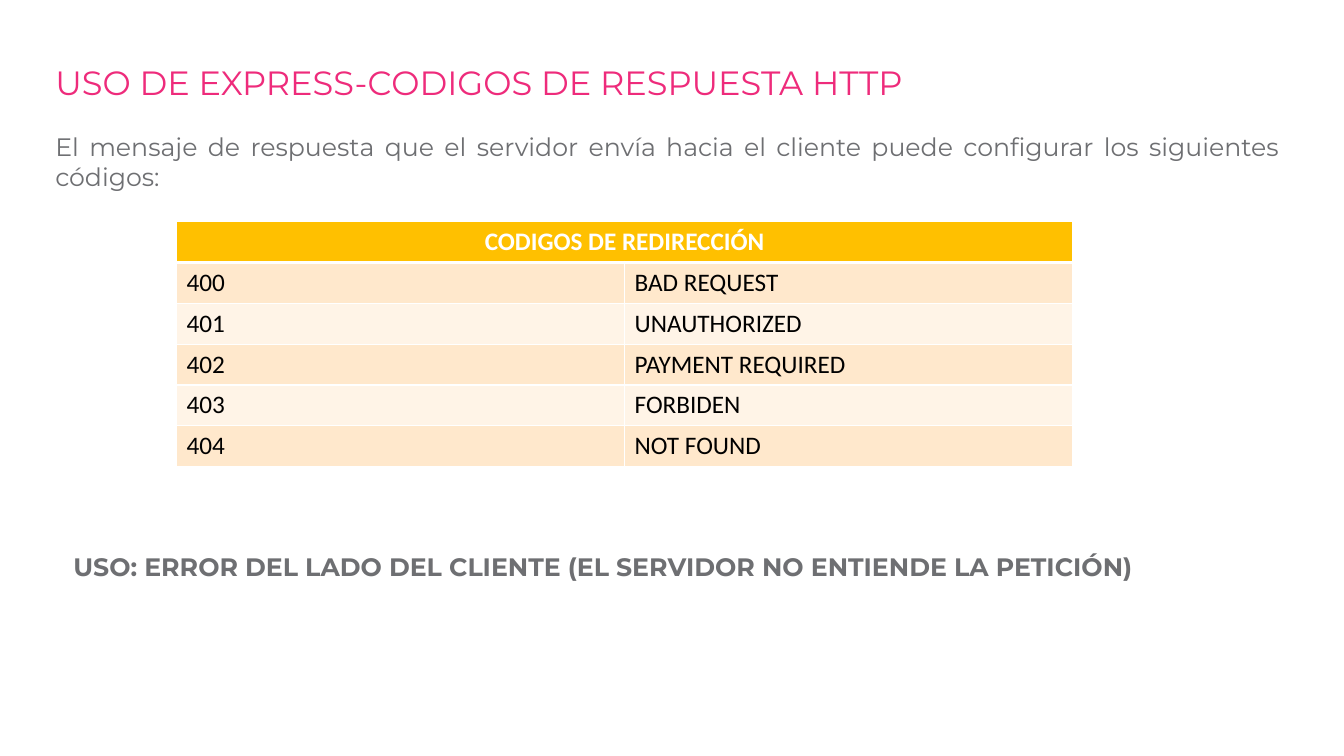
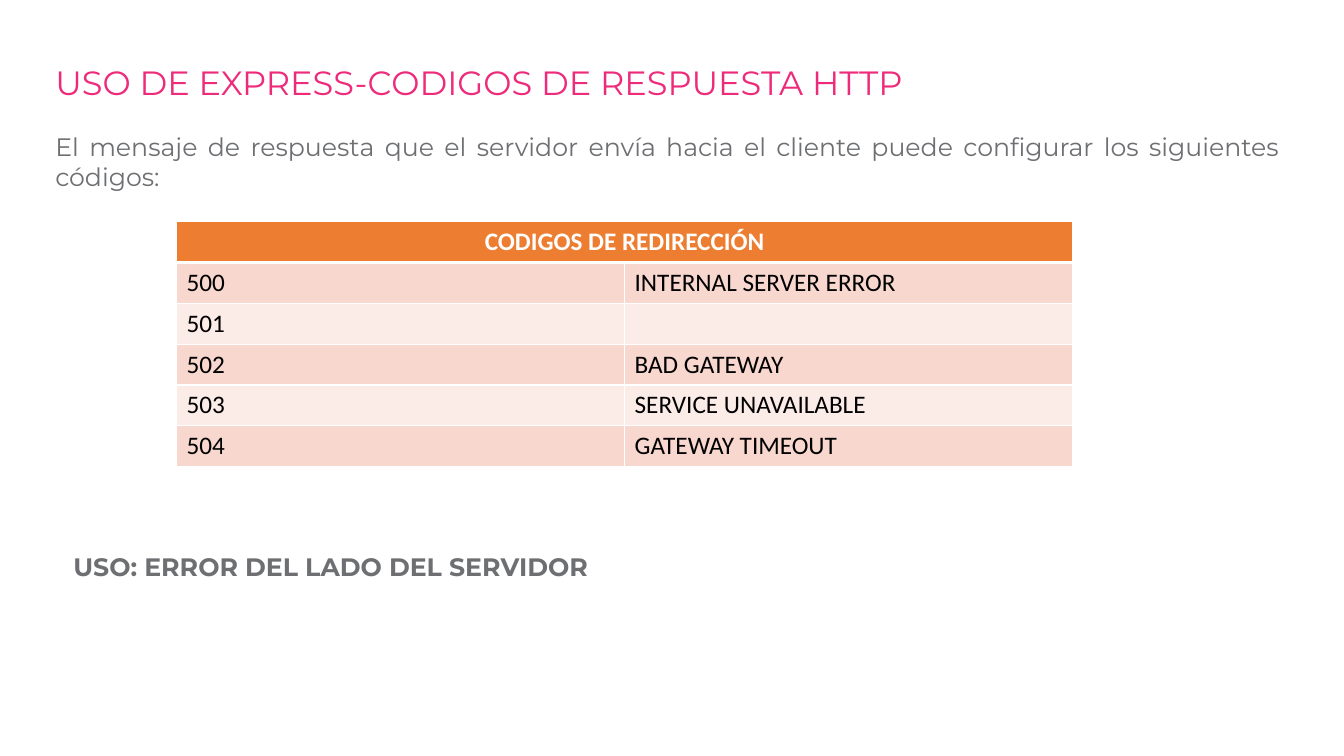
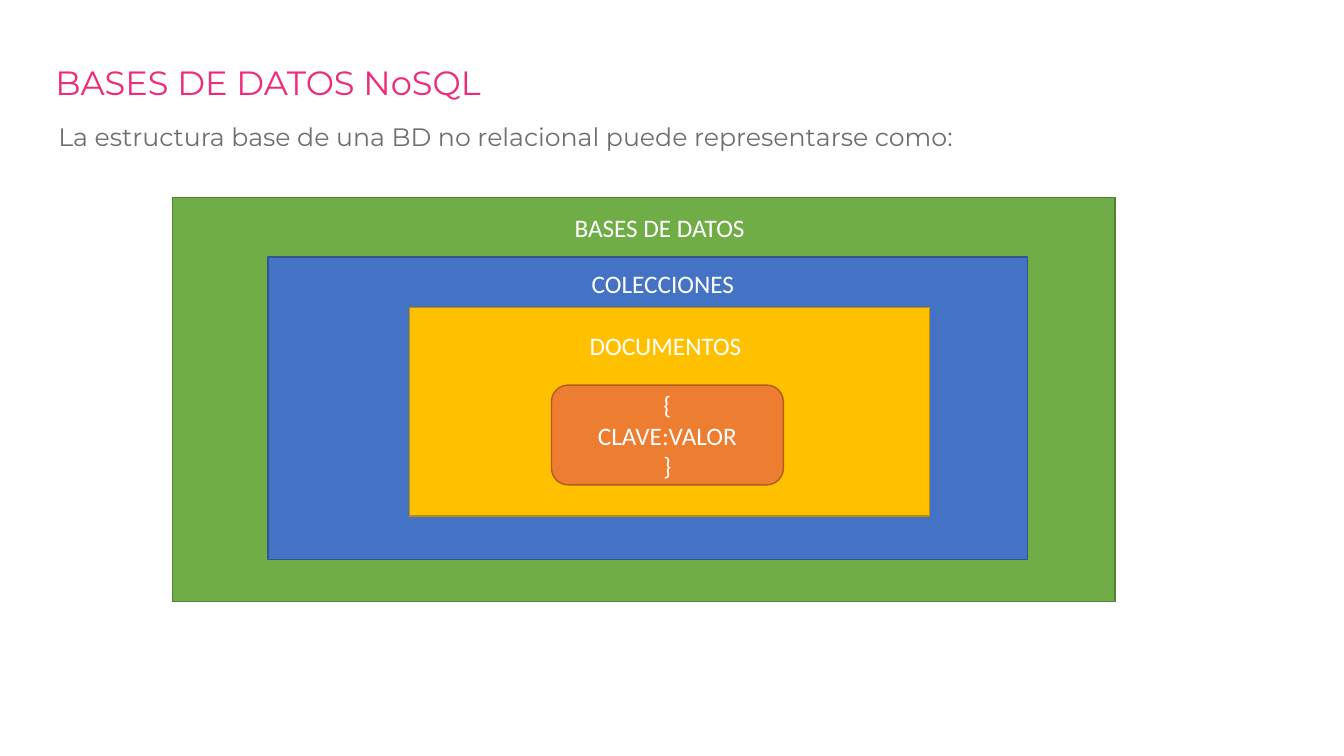
import pptx
import pptx.dml.color
import pptx.enum.shapes
import pptx.enum.text
import pptx.oxml
import pptx.oxml.ns
import pptx.util

Inches = pptx.util.Inches
Pt = pptx.util.Pt
RGBColor = pptx.dml.color.RGBColor
ALIGN = pptx.enum.text.PP_ALIGN
SHAPE = pptx.enum.shapes.MSO_SHAPE

PINK = RGBColor(0xEE, 0x2B, 0x7B)
GRAY = RGBColor(0x6E, 0x6F, 0x72)
WHITE = RGBColor(0xFF, 0xFF, 0xFF)
BLACK = RGBColor(0x00, 0x00, 0x00)
GOLD = RGBColor(0xFF, 0xC0, 0x00)
GOLD_DARK = RGBColor(0xBD, 0x8E, 0x00)
GOLD_BANDS = (RGBColor(0xFF, 0xE8, 0xCC), RGBColor(0xFF, 0xF4, 0xE7))
ORANGE = RGBColor(0xED, 0x7D, 0x31)
ORANGE_DARK = RGBColor(0xAF, 0x5C, 0x24)
ORANGE_BANDS = (RGBColor(0xF8, 0xD7, 0xCE), RGBColor(0xFC, 0xEC, 0xE8))
GREEN = RGBColor(0x70, 0xAD, 0x47)
GREEN_DARK = RGBColor(0x53, 0x80, 0x35)
BLUE = RGBColor(0x44, 0x72, 0xC4)
BLUE_DARK = RGBColor(0x32, 0x54, 0x91)

HEADING_FONT = "Montserrat"
BODY_FONT = "Calibri"


class Deck:
    """Holds the shared style and the current slide of the presentation."""

    def __init__(self):
        self.presentation = pptx.Presentation()
        self.presentation.slide_width = Inches(13.33)
        self.presentation.slide_height = Inches(7.5)
        self.slide = None

    def add_slide(self, title):
        self.slide = self.presentation.slides.add_slide(self.presentation.slide_layouts[6])
        text_frame = self.add_text(title, 0.45, 0.61, 11.5, 0.5, color=PINK, size=24)
        text_frame.paragraphs[0].line_spacing = 0.9

    def format_text(self, text_frame, font, color, size=18, bold=False, align=ALIGN.LEFT):
        for paragraph in text_frame.paragraphs:
            paragraph.alignment = align
            for run in paragraph.runs:
                run.font.name = font
                run.font.size = Pt(size)
                run.font.bold = bold
                run.font.color.rgb = color

    def add_text(self, text, left, top, width, height=0.4, font=HEADING_FONT, color=GRAY, **style):
        box = self.slide.shapes.add_textbox(Inches(left), Inches(top), Inches(width), Inches(height))
        box.text_frame.word_wrap = True
        box.text_frame.text = text
        self.format_text(box.text_frame, font, color, **style)
        return box.text_frame

    def add_box(self, left, top, width, height, fill, line, text="", kind=SHAPE.RECTANGLE):
        shape = self.slide.shapes.add_shape(
            kind, Inches(left), Inches(top), Inches(width), Inches(height))
        shape.shadow.inherit = False
        shape.fill.solid()
        shape.fill.fore_color.rgb = fill
        shape.line.color.rgb = line
        shape.line.width = Pt(1)
        shape.text_frame.text = text
        self.format_text(shape.text_frame, BODY_FONT, WHITE, align=ALIGN.CENTER)

    def set_borders(self, cell, top, bottom):
        properties = cell._tc.get_or_add_tcPr()
        for side, width in (("L", 1), ("R", 1), ("T", top), ("B", bottom)):
            properties.append(pptx.oxml.parse_xml(
                f'<a:ln{side} {pptx.oxml.ns.nsdecls("a")} w="{Pt(width)}"><a:solidFill>'
                f'<a:srgbClr val="{WHITE}"/></a:solidFill></a:ln{side}>'))

    def add_code_table(self, heading, codes, header_fill, bands):
        rows = [(heading, ""), *codes]
        table = self.slide.shapes.add_table(
            len(rows), 2, Inches(1.75), Inches(2.2), Inches(8.89), Inches(2.43)).table
        table.cell(0, 0).merge(table.cell(0, 1))
        for row_index, row in enumerate(rows):
            is_header = row_index == 0
            for column_index, text in enumerate(row):
                cell = table.cell(row_index, column_index)
                self.set_borders(cell, 3 if row_index == 1 else 1, 3 if is_header else 1)
                cell.fill.solid()
                cell.fill.fore_color.rgb = header_fill if is_header else bands[(row_index - 1) % 2]
                cell.text_frame.text = text
                self.format_text(
                    cell.text_frame, BODY_FONT, WHITE if is_header else BLACK, bold=is_header,
                    align=ALIGN.CENTER if is_header else ALIGN.LEFT)

    def add_code_slide(self, codes, usage, header_fill, bands):
        self.add_slide("USO DE EXPRESS-CODIGOS DE RESPUESTA HTTP")
        self.add_text(
            "El mensaje de respuesta que el servidor envía hacia el cliente "
            "puede configurar los siguientes códigos:",
            0.45, 1.25, 12.34, 0.7, align=ALIGN.JUSTIFY)
        self.add_code_table("CODIGOS DE REDIRECCIÓN", codes, header_fill, bands)
        self.add_text(usage, 0.63, 5.42, 11.57, bold=True)


def main():
    deck = Deck()
    deck.add_code_slide(
        [("400", "BAD REQUEST"), ("401", "UNAUTHORIZED"), ("402", "PAYMENT REQUIRED"),
         ("403", "FORBIDEN"), ("404", "NOT FOUND")],
        "USO: ERROR DEL LADO DEL CLIENTE (EL SERVIDOR NO ENTIENDE LA PETICIÓN)",
        GOLD, GOLD_BANDS)
    deck.add_code_slide(
        [("500", "INTERNAL SERVER ERROR"), ("501", ""), ("502", "BAD GATEWAY"),
         ("503", "SERVICE UNAVAILABLE"), ("504", "GATEWAY TIMEOUT")],
        "USO: ERROR DEL LADO DEL SERVIDOR", ORANGE, ORANGE_BANDS)

    deck.add_slide("BASES DE DATOS NoSQL")
    deck.add_text(
        "La estructura base de una BD no relacional puede representarse como:", 0.48, 1.15, 10.45)
    deck.add_box(1.71, 1.96, 9.35, 4.01, GREEN, GREEN_DARK)
    deck.add_box(2.66, 2.55, 7.53, 3, BLUE, BLUE_DARK)
    deck.add_box(4.06, 3.05, 5.16, 2.07, GOLD, GOLD_DARK)
    deck.add_box(5.47, 3.82, 2.3, 0.99, ORANGE, ORANGE_DARK,
                 "{\nCLAVE:VALOR\n}", SHAPE.ROUNDED_RECTANGLE)
    for label, left, top in (("BASES DE DATOS", 5.6, 2.06), ("COLECCIONES", 5.77, 2.61),
                             ("DOCUMENTOS", 5.75, 3.23)):
        deck.add_text(label, left, top, 2.59, font=BODY_FONT, color=WHITE)

    deck.presentation.save("out.pptx")


if __name__ == "__main__":
    main()
